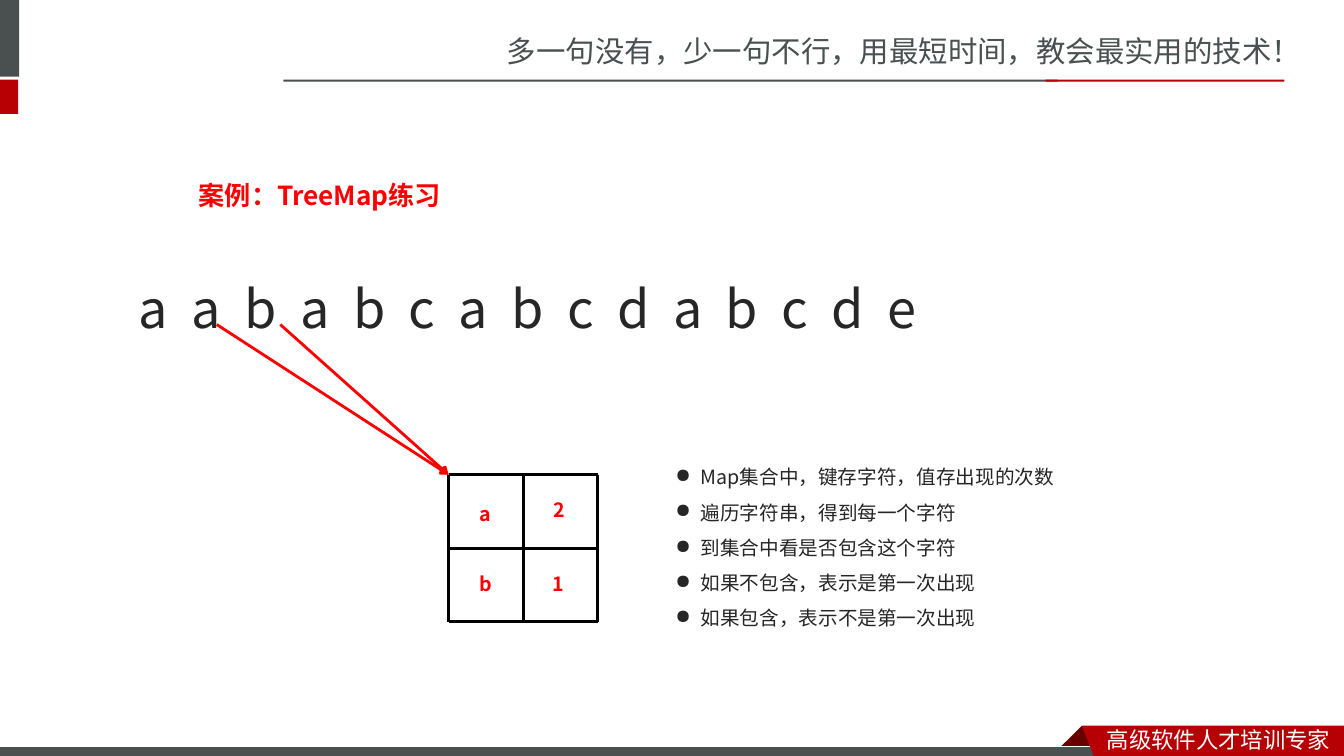
from dataclasses import dataclass
from itertools import pairwise
from typing import Optional

from lxml.etree import SubElement
from pptx import Presentation
from pptx.dml.color import RGBColor
from pptx.enum.shapes import MSO_CONNECTOR as CONN, MSO_SHAPE as SHAPE
from pptx.enum.text import MSO_ANCHOR as ANCHOR, MSO_AUTO_SIZE as AUTO, PP_ALIGN as ALIGN
from pptx.oxml.ns import qn
from pptx.util import Inches, Pt


@dataclass(frozen=True)
class Theme:
    font: str = "Noto Sans CJK SC"
    grey: str = "49504F"
    crimson: str = "B60004"
    maroon: str = "680000"
    white: str = "FFFFFF"
    black: str = "000000"
    red: str = "FF0000"
    ink: str = "262626"
    tagline: float = 21
    footer: float = 16
    title: float = 18.7
    letters: float = 37.3
    body: float = 14
    line: float = 2


T = Theme()


@dataclass(frozen=True)
class Bar:
    x: float
    y: float
    w: float
    h: float
    fill: str
    outline: Optional[str] = None


@dataclass(frozen=True)
class Label:
    x: float
    y: float
    w: float
    h: float
    lines: tuple[str, ...]
    size: float
    color: str
    bold: bool = False
    spacing: Optional[float] = None
    bullet: Optional[str] = None
    wrap: bool = True


@dataclass(frozen=True)
class Outline:
    points: tuple[tuple[float, float], ...]
    fill: str


@dataclass(frozen=True)
class Line:
    start: tuple[float, float]
    end: tuple[float, float]
    color: str = T.black
    arrow: bool = False


def rgb(value: str) -> RGBColor:
    return RGBColor.from_string(value)


def paint(s, fill: str, outline: Optional[str] = None) -> None:
    s.shadow.inherit = False
    s.fill.solid()
    s.fill.fore_color.rgb = rgb(fill)
    if outline:
        s.line.color.rgb = rgb(outline)
        s.line.width = Pt(0.75)
    else:
        s.line.fill.background()


def draw_bar(shapes, bar: Bar) -> None:
    box = (Inches(v) for v in (bar.x, bar.y, bar.w, bar.h))
    paint(shapes.add_shape(SHAPE.RECTANGLE, *box), bar.fill, bar.outline)


def draw_outline(shapes, outline: Outline) -> None:
    start, *rest = [(Inches(x), Inches(y)) for x, y in outline.points]
    builder = shapes.build_freeform(*start)
    builder.add_line_segments(rest, close=True)
    paint(builder.convert_to_shape(), outline.fill)


def draw_line(shapes, line: Line) -> None:
    ends = (Inches(v) for v in (*line.start, *line.end))
    s = shapes.add_connector(CONN.STRAIGHT, *ends)
    s.line.color.rgb = rgb(line.color)
    s.line.width = Pt(T.line)
    if line.arrow:
        SubElement(s.line._get_or_add_ln(), qn("a:tailEnd"), type="arrow")
    SubElement(s._element.spPr, qn("a:effectLst"))


def write_label(s, label: Label) -> None:
    """Place a text shape and fill it run by run."""
    s.left, s.top = Inches(label.x), Inches(label.y)
    s.width, s.height = Inches(label.w), Inches(label.h)
    tf = s.text_frame
    tf.word_wrap = label.wrap
    tf.auto_size = AUTO.SHAPE_TO_FIT_TEXT
    tf.vertical_anchor = ANCHOR.TOP
    for i, text in enumerate(label.lines):
        p = tf.add_paragraph() if i else tf.paragraphs[0]
        p.alignment = ALIGN.LEFT
        if label.bullet:
            pPr = p._p.get_or_add_pPr()
            pPr.set("marL", str(Inches(0.25)))
            pPr.set("indent", str(-Inches(0.25)))
            SubElement(pPr, qn("a:buChar"), char=label.bullet)
        p.space_before = Pt(0)
        if label.spacing:
            p.line_spacing = label.spacing
        r = p.add_run()
        r.text = text
        r.font.size = Pt(label.size)
        r.font.bold = label.bold
        r.font.color.rgb = rgb(label.color)
        r.font.name = T.font
        SubElement(r._r.get_or_add_rPr(), qn("a:ea"), typeface=T.font)


def draw_label(shapes, label: Label) -> None:
    write_label(shapes.add_textbox(0, 0, 0, 0), label)


# Header and footer
HEADER_BARS = (
    Bar(-0.06, 0, 0.25, 0.76, T.grey),
    Bar(-0.06, 0.79, 0.24, 0.34, T.crimson),
    Bar(2.81, 0.79, 7.68, 0.02, T.grey),
    Bar(10.37, 0.79, 2.37, 0.02, T.crimson),
)
FOOTER_BAR = Bar(-0.01, 7.41, 11, 0.12, T.grey, T.white)
FOLD = Outline(((10.73, 7.2), (10.95, 7.42), (10.94, 7.43), (10.52, 7.43), (10.51, 7.42)), T.maroon)
RIBBON = Outline(((10.73, 7.2), (13.33, 7.2), (13.33, 7.54), (10.86, 7.53)), T.crimson)
TAGLINE = Label(4.93, 0.28, 8.41, 0.47, ("多一句没有，少一句不行，用最短时间，教会最实用的技术！",),
                T.tagline, T.grey)
SLOGAN = Label(10.88, 7.15, 2.45, 0.37, ("高级软件人才培训专家",), T.footer, T.white)

# Content
TITLE = Label(1.87, 1.57, 8.89, 0.52, ("案例：TreeMap练习",), T.title, T.red, True, 1.5)
LETTERS = Label(1.28, 2.38, 10.74, 0.93, ("  ".join("aababcabcdabcde"),),
                T.letters, T.ink, spacing=1.5)
STEPS = Label(6.6, 4.45, 6.26, 1.83, (
    "Map集合中，键存字符，值存出现的次数",
    "遍历字符串，得到每一个字符",
    "到集合中看是否包含这个字符",
    "如果不包含，表示是第一次出现",
    "如果包含，表示不是第一次出现",
), T.body, T.ink, spacing=1.5, bullet="●")

# Map grid: keys on the left, counts on the right
GRID_X = (4.45, 5.19, 5.93)
GRID_Y = (4.71, 5.44, 6.17)
ENTRIES = (("a", 4.66, 4.93), ("2", 5.39, 4.89), ("b", 4.66, 5.62), ("1", 5.38, 5.62))
ARROW_STARTS = ((2.15, 3.22), (2.78, 3.22))


def main() -> None:
    prs = Presentation()
    prs.slide_width, prs.slide_height = Inches(13.33), Inches(7.5)
    slide = prs.slides.add_slide(prs.slide_layouts[5])
    shapes = slide.shapes

    # Frame
    draw_label(shapes, TAGLINE)
    for bar in HEADER_BARS:
        draw_bar(shapes, bar)
    draw_outline(shapes, FOLD)
    draw_bar(shapes, FOOTER_BAR)
    draw_outline(shapes, RIBBON)
    draw_label(shapes, SLOGAN)

    # Title and letter sequence
    write_label(shapes.title, TITLE)
    draw_label(shapes, LETTERS)

    # Grid, its entries and the arrows into it
    rows = [Line((GRID_X[0], y), (GRID_X[-1], y)) for y in GRID_Y]
    columns = [Line((x, top), (x, bottom)) for top, bottom in pairwise(GRID_Y) for x in GRID_X]
    arrows = [Line(start, (GRID_X[0], GRID_Y[0]), T.red, True) for start in ARROW_STARTS]
    for line in rows + columns + arrows:
        draw_line(shapes, line)
    for text, x, y in ENTRIES:
        draw_label(shapes, Label(x, y, 0.32, 0.34, (text,), T.body, T.red, True, wrap=False))

    # Steps
    draw_label(shapes, STEPS)
    prs.save("out.pptx")


if __name__ == "__main__":
    main()
